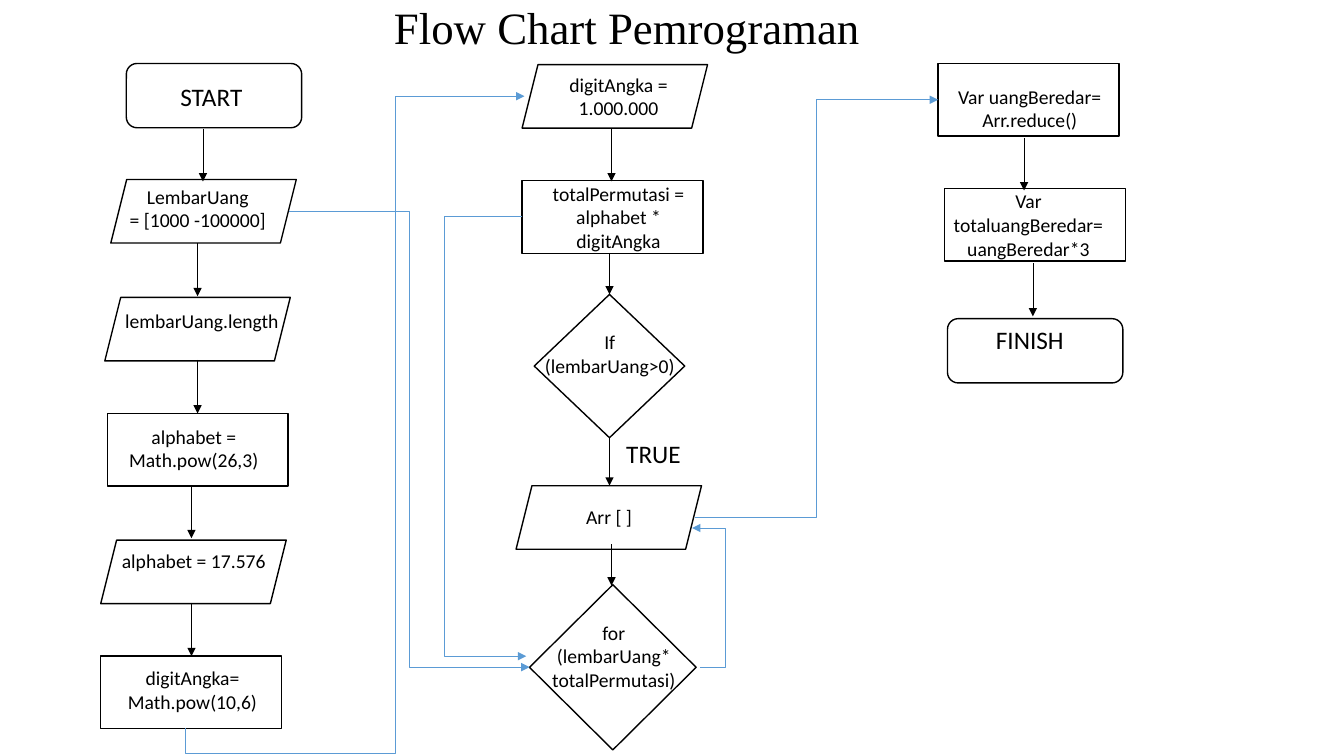
import pptx
import pptx.util
import pptx.dml.color
import pptx.enum.shapes
import pptx.enum.text
import pptx.oxml
import pptx.oxml.ns

INK = {"black": "000000", "white": "FFFFFF", "blue": "5B9BD5"}
KIND = pptx.enum.shapes.MSO_SHAPE
LINE = pptx.enum.shapes.MSO_CONNECTOR
FIT = pptx.enum.text.MSO_AUTO_SIZE

deck = pptx.Presentation()
deck.slide_width = pptx.util.Inches(13.33)
deck.slide_height = pptx.util.Inches(7.5)
slide = deck.slides.add_slide(deck.slide_layouts[5])

# The slide is a grid of 100 columns by 100 rows.
COL = deck.slide_width / 100
ROW = deck.slide_height / 100


def write(text, frame, size=14, font="Calibri", ink="black", fit=FIT.SHAPE_TO_FIT_TEXT):
    """Fill a text frame with centred paragraphs, one for each line of text."""
    frame.text = text
    frame.word_wrap = True
    frame.auto_size = fit
    frame.vertical_anchor = pptx.enum.text.MSO_ANCHOR.TOP
    for para in frame.paragraphs:
        para.alignment = pptx.enum.text.PP_ALIGN.CENTER
        para.font.size = pptx.util.Pt(size)
        para.font.name = font
        para.font.color.rgb = pptx.dml.color.RGBColor.from_string(INK[ink])


def link(kind, x1, y1, x2, y2, ink, bends=()):
    """Draw an arrow between two grid points, with bends as shares of its box."""
    line = slide.shapes.add_connector(
        kind, int(x1 * COL), int(y1 * ROW), int(x2 * COL), int(y2 * ROW))
    line.line.width = pptx.util.Pt(0.5)
    line.line.color.rgb = pptx.dml.color.RGBColor.from_string(INK[ink])
    props = line._element.spPr
    pen = props.find(pptx.oxml.ns.qn("a:ln"))
    pptx.oxml.ns.qn("a:tailEnd")
    pen.append(pen.makeelement(pptx.oxml.ns.qn("a:tailEnd"), {"type": "triangle"}))
    props.append(props.makeelement(pptx.oxml.ns.qn("a:effectLst"), {}))
    if bends:
        shape = props.find(pptx.oxml.ns.qn("a:prstGeom"))
        shape.set("prst", f"bentConnector{len(bends) + 2}")
        guides = shape.find(pptx.oxml.ns.qn("a:avLst"))
        for num, bend in enumerate(bends, 1):
            guides.append(guides.makeelement(pptx.oxml.ns.qn("a:gd"), {
                "name": f"adj{num}", "fmla": f"val {round(bend * 100000)}"}))
    return line


title = slide.shapes.title
title.left, title.top = 0, 0
title.width, title.height = int(93.3 * COL), int(7.6 * ROW)
title.text_frame.margin_top = 0
write("Flow Chart Pemrograman", title.text_frame, size=32,
      font="Times New Roman", fit=FIT.NONE)

# Width, height and fill of each kind of step
sizes = {
    "end": (KIND.ROUNDED_RECTANGLE, 13.05, 8.5, False),
    "data": (KIND.PARALLELOGRAM, 13.8, 8.4, True),
    "task": (KIND.RECTANGLE, 13.45, 9.6, False),
    "test": (KIND.DIAMOND, 11.2, 18.95, True),
    "loop": (KIND.DIAMOND, 12.4, 21.85, True),
}

# Kind, left and top of the step; text, left and top of its label
steps = [
    ("end", 9.4, 8.4, "START", 9.2, 10.1),
    ("data", 8.25, 23.75, "LembarUang\n= [1000 -100000]", 8.2, 23.75),
    ("data", 7.8, 39.35, "lembarUang.length", 8.5, 40.25),
    ("task", 7.98, 54.7, "alphabet = Math.pow(26,3)", 7.9, 55.5),
    ("data", 7.5, 71.45, "alphabet = 17.576", 7.9, 72),
    ("task", 7.5, 86.8, "digitAngka= Math.pow(10,6)", 7.8, 87.45),
    ("data", 38.85, 8.55, "digitAngka = 1.000.000", 39.5, 8.95),
    ("task", 38.85, 23.9, "totalPermutasi =\nalphabet * digitAngka", 39.5, 23.35),
    ("test", 39.75, 38.95, "If\n(lembarUang>0)", 38.85, 43.05),
    ("data", 38.4, 64.25, "Arr [ ]", 38.8, 66.15),
    ("loop", 39.4, 77.35, "for\n(lembarUang*\ntotalPermutasi)", 39.15, 81.45),
    ("task", 69.8, 8.4, "Var uangBeredar= Arr.reduce()", 70.1, 10.55),
    ("task", 70.3, 24.95, "Var totaluangBeredar= uangBeredar*3", 70, 24.4),
    ("end", 70.5, 42.15, "FINISH", 70.1, 42.25),
]
for kind, left, top, *_ in steps:
    form, wide, high, solid = sizes[kind]
    step = slide.shapes.add_shape(
        form, int(left * COL), int(top * ROW), int(wide * COL), int(high * ROW))
    step.shadow.inherit = False
    step.line.width = pptx.util.Pt(1)
    step.line.color.rgb = pptx.dml.color.RGBColor.from_string(INK["black"])
    if solid:
        step.fill.solid()
        step.fill.fore_color.rgb = pptx.dml.color.RGBColor.from_string(INK["white"])
    else:
        step.fill.background()

# Column, first row and last row of each arrow down
downs = [
    (15.1, 17.05, 24), (14.7, 32.15, 39.2), (14.7, 47.6, 54.7),
    (14.25, 64.25, 71.2), (14.25, 79.75, 86.8),
    (45.5, 16.95, 24), (45.35, 33.45, 38.95), (45.35, 57.85, 64.25),
    (45.5, 72, 77.45), (76.2, 18.25, 25.2), (76.85, 34.8, 41.85),
]
for col, top, end in downs:
    link(LINE.STRAIGHT, col, top, col, end, "black")

# Start, end and column of the upright part of each bent arrow
turns = [
    (51.7, 68.4, 69.8, 13.2, 60.75),
    (52.1, 88.25, 51.5, 69.85, 54),
    (21.5, 28, 39.4, 88.25, 30.45),
    (38.85, 28.65, 39.15, 86.8, 33.1),
]
for x1, y1, x2, y2, mid in turns:
    link(LINE.ELBOW, x1, y1, x2, y2, "blue", [(mid - x1) / (x2 - x1)])

# The arrow from the first column to the second leaves downwards: a quarter turn
climb = link(LINE.ELBOW, 49.95, 76.95, 2.9, 32.15, "blue", [-0.04, 0.62])
climb._element.spPr.find(pptx.oxml.ns.qn("a:xfrm")).set("rot", str(90 * 60000))

labels = [step[3:] + (18 if step[0] == "end" else 14,) for step in steps]
labels.append(("TRUE", 42.1, 57.35, 18))
for text, left, top, size in labels:
    box = slide.shapes.add_textbox(
        int(left * COL), int(top * ROW), int(13.05 * COL), int(7.6 * ROW))
    write(text, box.text_frame, size=size)

deck.save("out.pptx")
